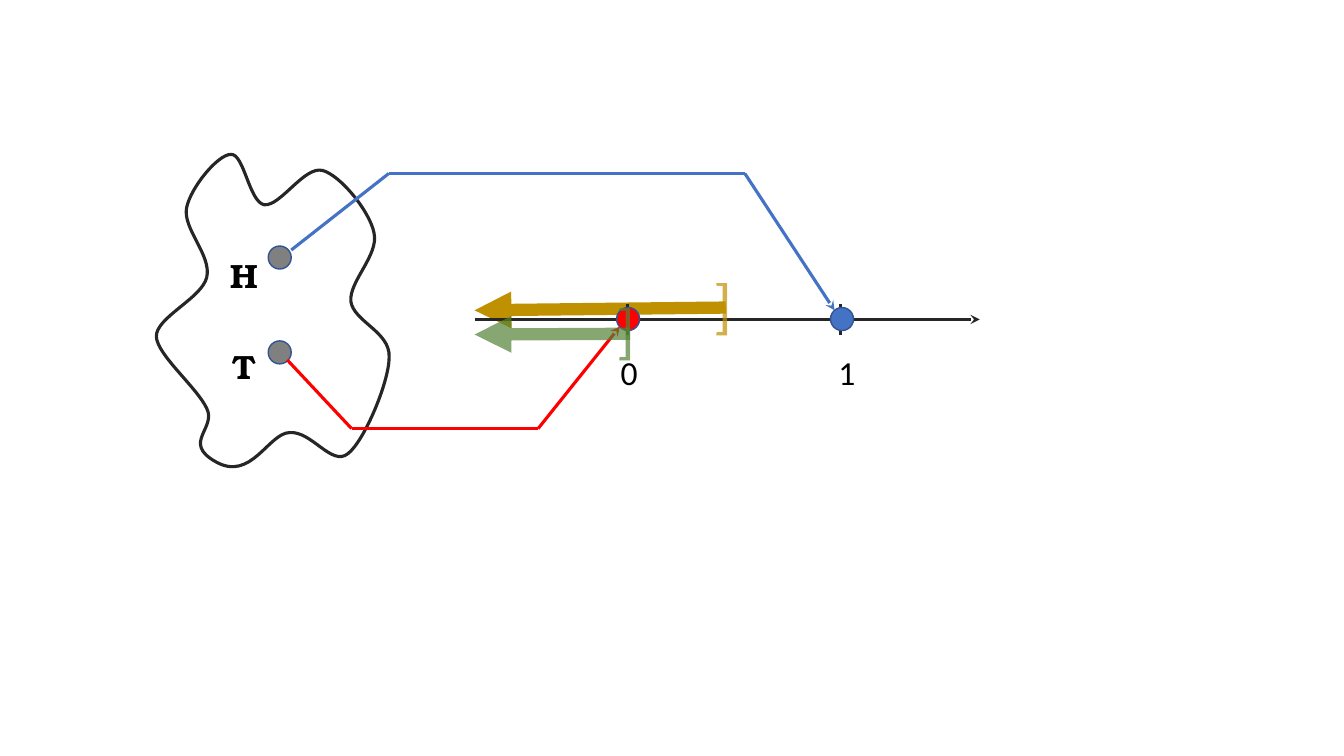
from itertools import pairwise

from lxml.etree import SubElement
from pptx import Presentation
from pptx.dml.color import RGBColor
from pptx.enum.shapes import MSO_CONNECTOR, MSO_SHAPE
from pptx.enum.text import MSO_AUTO_SIZE as AutoSize
from pptx.oxml.ns import qn
from pptx.util import Cm, Pt

BLACK = RGBColor(0x00, 0x00, 0x00)
WHITE = RGBColor(0xFF, 0xFF, 0xFF)
INK = RGBColor(0x26, 0x26, 0x26)
GRAY = RGBColor(0x80, 0x80, 0x80)
NAVY = RGBColor(0x32, 0x54, 0x91)
BLUE = RGBColor(0x44, 0x72, 0xC4)
RED = RGBColor(0xFF, 0x00, 0x00)
GOLD = RGBColor(0xBF, 0x90, 0x00)
GREEN = RGBColor(0x54, 0x82, 0x35)

DOT = 0.58  # diameter in cm
UNIT = Cm(0.0254)  # grid step of the outline
OUTLINE_SIZE = (232, 311)
OUTLINE_START = (30, 53)
# Two control points and an end point for each curve
OUTLINE_CURVES = [
    [(34, 33), (61, 0), (74, 0)],
    [(87, -1), (92, 47), (107, 50)],
    [(123, 52), (147, 11), (165, 16)],
    [(183, 21), (212, 57), (216, 78)],
    [(221, 100), (191, 126), (193, 146)],
    [(196, 166), (232, 176), (231, 201)],
    [(231, 226), (206, 285), (190, 297)],
    [(174, 310), (154, 274), (132, 276)],
    [(111, 277), (94, 325), (59, 305)],
    [(25, 286), (60, 272), (50, 252)],
    [(40, 231), (1, 199), (0, 181)],
    [(-1, 162), (45, 143), (50, 122)],
    [(55, 100), (26, 74), (30, 53)],
]


def fade(element, percent):
    for color in element.iter(qn("a:srgbClr")):
        SubElement(color, qn("a:alpha"), val=str(percent * 1000))


def add_line(shapes, start, end, color, width=2.25, head=None, opacity=100):
    line = shapes.add_connector(MSO_CONNECTOR.STRAIGHT, *map(Cm, (*start, *end)))
    line.line.color.rgb = color
    line.line.width = Pt(width)
    properties = line.line._get_or_add_ln()
    if head:
        SubElement(properties, qn("a:tailEnd"), type=head)
    if opacity < 100:
        fade(properties, opacity)
    SubElement(line._element.spPr, qn("a:effectLst"))


def add_dot(shapes, left, top, color):
    dot = shapes.add_shape(MSO_SHAPE.OVAL, Cm(left), Cm(top), Cm(DOT), Cm(DOT))
    dot.shadow.inherit = False
    dot.fill.solid()
    dot.fill.fore_color.rgb = color
    dot.line.color.rgb = NAVY
    dot.line.width = Pt(1)


def add_label(shapes, box, text, size=24, font="Calibri", color=BLACK,
              bold=False, wrap=True, opacity=100):
    label = shapes.add_textbox(*map(Cm, box))
    frame = label.text_frame
    frame.word_wrap = wrap
    frame.auto_size = AutoSize.SHAPE_TO_FIT_TEXT
    frame.text = text
    span = frame.paragraphs[0].runs[0]
    span.font.name = font
    span.font.size = Pt(size)
    span.font.bold = bold
    span.font.color.rgb = color
    if opacity < 100:
        fade(span._r, opacity)


def add_outline(shapes, left, top):
    """Draw the closed curve around the sample space."""
    width, height = OUTLINE_SIZE
    builder = shapes.build_freeform(0, 0, scale=UNIT)
    builder.add_line_segments([(width, 0), (width, height), (0, height)])
    outline = builder.convert_to_shape(Cm(left), Cm(top))
    outline.shadow.inherit = False
    outline.fill.solid()
    outline.fill.fore_color.rgb = WHITE
    outline.line.color.rgb = INK
    outline.line.width = Pt(2.25)
    # Put curves in place of the straight sides
    path = next(outline._element.iter(qn("a:path")))
    for step in list(path):
        path.remove(step)
    steps = [("a:moveTo", [OUTLINE_START])]
    steps += [("a:cubicBezTo", curve) for curve in OUTLINE_CURVES]
    for tag, points in steps:
        step = SubElement(path, qn(tag))
        for x, y in points:
            SubElement(step, qn("a:pt"), x=str(x), y=str(y))
    SubElement(path, qn("a:close"))


def add_sample_space(shapes, left, top):
    add_outline(shapes, left, top)
    for dot_top in (2.31, 4.7):
        add_dot(shapes, left + 2.82, top + dot_top, GRAY)
    for text, x, y, width in (("H", 1.62, 2.41, 1.22), ("T", 1.67, 4.7, 1.12)):
        add_label(shapes, (left + x, top + y, width, 1.27), text,
                  font="TeX Gyre Bonum", bold=True, wrap=False)


def add_number_line(shapes, left, middle):
    add_line(shapes, (left, middle), (left + 12.73, middle), INK, head="stealth")
    for x in (3.86, 9.22):
        add_line(shapes, (left + x, middle + 0.38), (left + x, middle - 0.4), INK)
    for text, x in (("0", 3.43), ("1", 8.92)):
        add_label(shapes, (left + x, middle + 0.69, 1.52, 1.27), text)


def add_values(shapes, left, middle):
    for x, color in ((8.97, BLUE), (3.58, RED)):
        add_dot(shapes, left + x, middle - 0.3, color)


def add_route(shapes, left, top, points, color):
    """Join the points and end in an arrow."""
    places = [(left + x, top + y) for x, y in points]
    for start, end in pairwise(places):
        head = "stealth" if end == places[-1] else None
        add_line(shapes, start, end, color, head=head)


def add_ray(shapes, left, middle, start, end_y, color, opacity=100):
    add_line(shapes, (left + start[0], middle + start[1]), (left, middle + end_y),
             color, width=8.75, head="triangle", opacity=opacity)


def add_bracket(shapes, left, top, color):
    add_label(shapes, (left, top, 1.96, 2.13), "]", size=44, color=color, opacity=70)


def build_slide(deck):
    slide = deck.slides.add_slide(deck.slide_layouts[6])
    shapes = slide.shapes
    axis = (11.96, 8.05)
    left, middle = axis
    # Ray up to a point between 0 and 1
    add_ray(shapes, *axis, (6.33, -0.3), -0.23, GOLD)
    # Sample space and real line
    add_sample_space(shapes, 3.94, 3.89)
    add_number_line(shapes, *axis)
    # Heads to 1, tails to 0
    add_route(shapes.add_group_shape().shapes, 7.34, 4.37,
              [(0, 1.93), (2.46, 0), (11.43, 0), (13.69, 3.45)], BLUE)
    add_values(shapes, *axis)
    add_route(shapes, 7.24, 8.23,
              [(0, 0.84), (1.62, 2.57), (6.32, 2.57), (8.38, 0)], RED)
    # Ray up to 0 and the closing brackets
    add_bracket(shapes, left + 3.33, middle - 0.84, GREEN)
    add_ray(shapes, *axis, (3.92, 0.36), 0.38, GREEN, opacity=70)
    add_bracket(shapes, left + 5.77, middle - 1.47, GOLD)


def main():
    deck = Presentation()
    deck.slide_width = Cm(33.87)
    deck.slide_height = Cm(19.05)
    build_slide(deck)
    deck.save("out.pptx")


if __name__ == "__main__":
    main()
